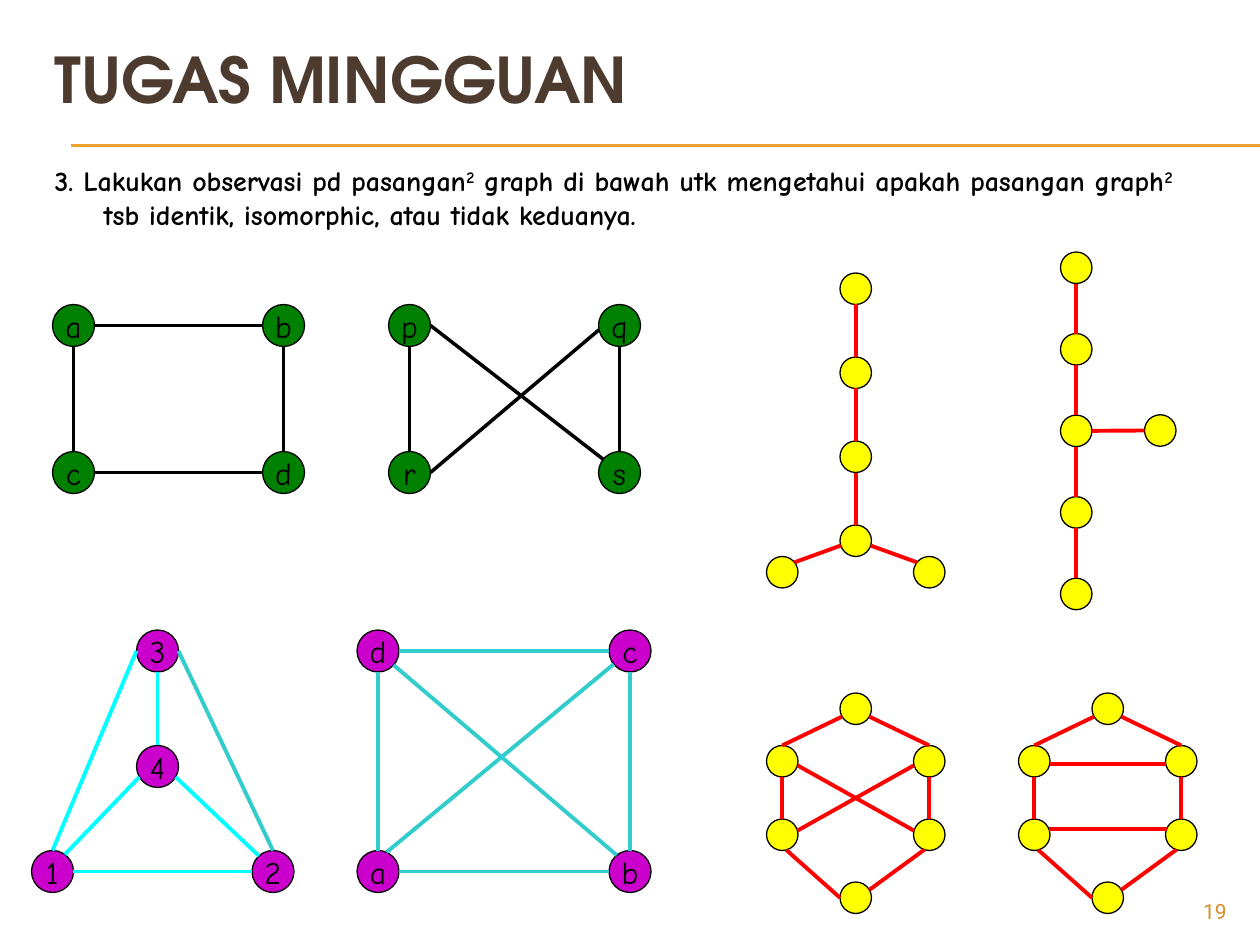
from math import cos, radians, sin

from lxml import etree
from pptx import Presentation
from pptx.dml.color import RGBColor
from pptx.enum import shapes, text
from pptx.oxml.ns import qn
from pptx.util import Pt

THEME = dict(
    head="TeX Gyre Adventor", body="Comic Neue", num="Roboto",
    brown="4E3B30", gold="F0A22E", amber="D48F29", black="000000",
    green="008000", purple="CC00CC", yellow="FFFF00",
    red="FF0000", cyan="00FFFF", teal="33CCCC",
    big=36, label=18, normal=16, small=12, thin=0.75, edge=2, thick=2.25,
)

TITLE = "TUGAS MINGGUAN"
TASK = [  # (words, raised)
    ("3. Lakukan observasi pd pasangan", False), ("2", True),
    (" graph di bawah utk mengetahui apakah pasangan graph", False),
    ("2 ", True), ("tsb identik, isomorphic, atau tidak keduanya.", False),
]
PAGE = "19"


def grid(names, left, top, wide, high):
    """Place four names on the corners of a rectangle, row by row."""
    return {n: (left + i % 2 * wide, top + i // 2 * high)
            for i, n in enumerate(names)}


def hexagon(left):
    mid, right = left + 42, left + 84
    return dict(top=(mid, 405), nw=(left, 435), ne=(right, 435),
                sw=(left, 477), se=(right, 477), low=(mid, 513))


def chain(names, hours=(6, 12)):
    """Edges that link each name with the next one."""
    return [(a, hours[0], b, hours[1]) for a, b in zip(names, names[1:])]


# An edge leaves and meets its nodes at hours of a clock face.
BOX = [("a", 6, "c", 12), ("b", 6, "d", 12), ("a", 3, "b", 9), ("c", 3, "d", 9)]
BOW = [("p", 6, "r", 12), ("q", 6, "s", 12),
       ("q", 8.6, "r", 3), ("p", 3, "s", 10.3)]
TRI = [("3", 9, "1", 12), ("3", 3, "2", 12, "teal"), ("1", 3, "2", 9),
       ("3", 6, "4", 12), ("4", 8, "1", 1.2), ("4", 4, "2", 10.6)]
FULL = [("d", 6, "a", 12), ("c", 6, "b", 12), ("d", 3, "c", 9),
        ("a", 3, "b", 9), ("d", 4.4, "b", 10.7), ("c", 7.7, "a", 0.8)]
RING = [("top", 8, "nw", 12), ("top", 4, "ne", 12), ("nw", 6, "sw", 12),
        ("ne", 6, "se", 12), ("sw", 5.5, "low", 9), ("se", 6.6, "low", 2)]
CROSS = [("nw", 3.5, "se", 9.5), ("ne", 8.5, "sw", 2.5)]
BARS = [("nw", 3.3, "ne", 8.7), ("sw", 2.3, "se", 9.7)]

FORK = {n: (489, 165 + 48 * i) for i, n in enumerate("abcd")}
FORK.update(e=(447, 327), f=(531, 327))
POLE = {n: (615, 153 + 46.6 * i) for i, n in enumerate("abcde")}
POLE["f"] = (663, 246)

LAB = dict(size=12, named=True)
DOT = dict(size=9, fill="yellow", line="red", width="thick")
GREEN = dict(LAB, fill="green", line="black", width="edge")
VIOLET = dict(LAB, fill="purple", width="thick")
GRAPHS = [  # (nodes, edges, style)
    (grid("abcd", 42, 186, 120, 84), BOX, GREEN),
    (grid("pqrs", 234, 186, 120, 84), BOW, GREEN),
    ({"3": (90, 372), "1": (30, 498), "4": (90, 438), "2": (156, 498)},
     TRI, dict(VIOLET, line="cyan")),
    (grid("dcab", 216, 372, 144, 126), FULL, dict(VIOLET, line="teal")),
    (FORK, chain("abcd") + [("d", 3.6, "f", 10.3), ("d", 8.4, "e", 1.7)], DOT),
    (POLE, chain("abcde") + [("c", 3, "f", 9)], DOT),
    (hexagon(447), RING + CROSS, DOT),
    (hexagon(591), RING + BARS, DOT),
]


def rgb(name):
    return RGBColor.from_string(THEME[name])


def write(para, words, font="body", size="normal", color="black",
          bold=False, raised=False, align=None):
    run = para.add_run()
    run.text = words
    run.font.name = THEME[font]
    run.font.size = Pt(THEME[size])
    run.font.color.rgb = rgb(color)
    run.font.bold = bold
    if raised:
        run._r.get_or_add_rPr().set("baseline", "30000")
    if align is not None:
        para.alignment = align


def place(shape, left, top, wide, high):
    shape.left, shape.top = Pt(left), Pt(top)
    shape.width, shape.height = Pt(wide), Pt(high)


def link(home, start, end, color, width):
    line = home.add_connector(shapes.MSO_CONNECTOR.STRAIGHT,
                              *(Pt(v) for v in (*start, *end)))
    line.line.color.rgb = rgb(color)
    line.line.width = Pt(THEME[width])
    etree.SubElement(line._element.spPr, qn("a:effectLst"))


def node(home, spot, size, fill, label):
    x, y = spot
    disc = home.add_shape(shapes.MSO_SHAPE.OVAL, Pt(x - size), Pt(y - size),
                          Pt(2 * size), Pt(2 * size))
    disc.shadow.inherit = False
    disc.fill.solid()
    disc.fill.fore_color.rgb = rgb(fill)
    disc.line.color.rgb = rgb("black")
    disc.line.width = Pt(THEME["thin"])
    if label:
        frame = disc.text_frame
        frame.word_wrap = False
        frame.vertical_anchor = text.MSO_ANCHOR.MIDDLE
        write(frame.paragraphs[0], label, size="label",
              align=text.PP_ALIGN.CENTER)


def rim(spot, size, hour):
    """Point on a node's edge at the given hour."""
    turn = radians(30 * hour)
    return spot[0] + size * sin(turn), spot[1] - size * cos(turn)


def graph(home, nodes, edges, size, fill, line, width, named=False):
    for name, spot in nodes.items():
        node(home, spot, size, fill, name if named else "")
    for a, out, b, into, *tint in edges:
        link(home, rim(nodes[a], size, out), rim(nodes[b], size, into),
             tint[0] if tint else line, width)


def main():
    deck = Presentation()
    deck.slide_width, deck.slide_height = Pt(720), Pt(540)
    slide = deck.slides.add_slide(deck.slide_layouts[1])
    home = slide.shapes

    for y in (82.8, 83.5):
        link(home, (40.5, y), (720, y), "gold", "thin")

    title, task = slide.placeholders
    place(title, 24, 18, 672, 54)
    title.text_frame.vertical_anchor = text.MSO_ANCHOR.MIDDLE
    title.text_frame.auto_size = text.MSO_AUTO_SIZE.NONE
    write(title.text_frame.paragraphs[0], TITLE, font="head", size="big",
          color="brown", bold=True, align=text.PP_ALIGN.LEFT)

    place(task, 24, 90, 672, 46)
    task.text_frame.auto_size = text.MSO_AUTO_SIZE.NONE
    para = task.text_frame.paragraphs[0]
    para.space_before = Pt(0)
    props = para._p.get_or_add_pPr()
    props.set("marL", str(Pt(28)))
    props.set("indent", str(Pt(-28)))
    etree.SubElement(props, qn("a:buNone"))
    for words, raised in TASK:
        write(para, words, bold=True, raised=raised)

    page = home.add_textbox(Pt(648), Pt(510), Pt(60), Pt(19.5))
    page.text_frame.word_wrap = True
    write(page.text_frame.paragraphs[0], PAGE, font="num", size="small",
          color="amber", align=text.PP_ALIGN.RIGHT)

    for nodes, edges, style in GRAPHS:
        part = home if style.get("named") else home.add_group_shape().shapes
        graph(part, nodes, edges, **style)

    deck.save("out.pptx")


if __name__ == "__main__":
    main()
